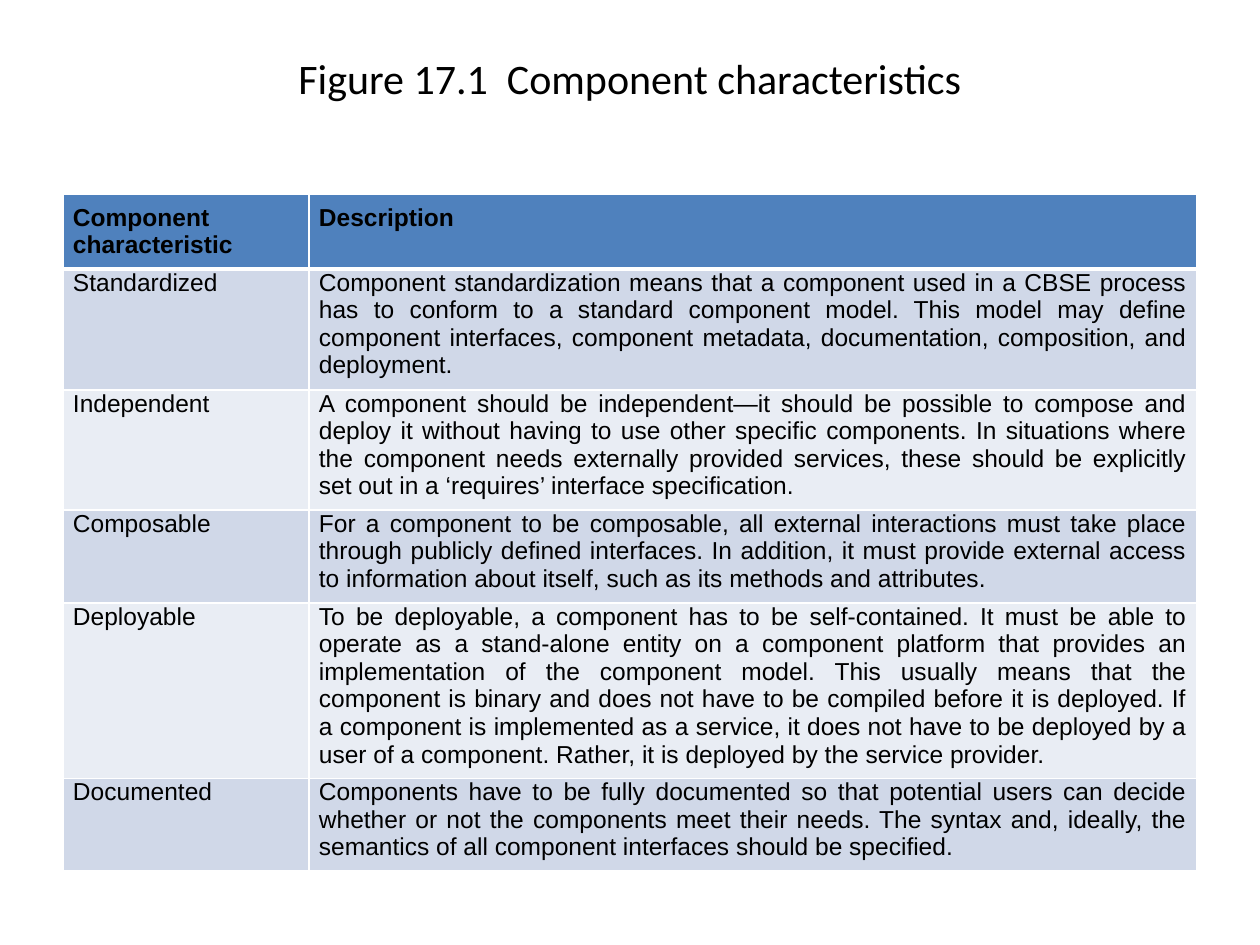
from lxml.etree import SubElement
from pptx import Presentation
from pptx.dml.color import RGBColor
from pptx.enum.text import MSO_ANCHOR, PP_ALIGN
from pptx.oxml.ns import qn
from pptx.util import Emu, Pt

PX = 7257.6  # EMU per px at 126 px to the inch
COLORS = {
    "text": "000000",
    "border": "FFFFFF",
    "header": "4F81BD",
    "odd": "D0D8E8",
    "even": "E9EDF4",
}
TITLE = "Figure 17.1  Component characteristics"
COLUMN_WIDTHS = [246, 888]
# Each row: height in px, characteristic, description
ROWS = [
    (74, "Component characteristic", "Description"),
    (121, "Standardized",
     "Component standardization means that a component used in a CBSE process has to conform "
     "to a standard component model. This model may define component interfaces, component "
     "metadata, documentation, composition, and deployment."),
    (120, "Independent",
     "A component should be independent—it should be possible to compose and deploy it without "
     "having to use other specific components. In situations where the component needs "
     "externally provided services, these should be explicitly set out in a ‘requires’ "
     "interface specification."),
    (93, "Composable",
     "For a component to be composable, all external interactions must take place through "
     "publicly defined interfaces. In addition, it must provide external access to information "
     "about itself, such as its methods and attributes."),
    (175, "Deployable",
     "To be deployable, a component has to be self-contained. It must be able to operate as a "
     "stand-alone entity on a component platform that provides an implementation of the "
     "component model. This usually means that the component is binary and does not have to be "
     "compiled before it is deployed. If a component is implemented as a service, it does not "
     "have to be deployed by a user of a component. Rather, it is deployed by the service "
     "provider."),
    (92, "Documented",
     "Components have to be fully documented so that potential users can decide whether or not "
     "the components meet their needs. The syntax and, ideally, the semantics of all component "
     "interfaces should be specified."),
]


def px(length):
    return Emu(round(length * PX))


def write_text(text_frame, text, *, font, size, align, bold=False, space_before=0):
    paragraph = text_frame.paragraphs[0]
    paragraph.alignment = align
    paragraph.space_before = Pt(space_before)
    run = paragraph.add_run()
    run.text = text
    run.font.name = font
    run.font.size = Pt(size)
    run.font.bold = bold
    run.font.color.rgb = RGBColor.from_string(COLORS["text"])


def set_borders(cell, widths):
    properties = cell._tc.get_or_add_tcPr()
    for side, width in widths.items():
        line = SubElement(properties, qn(f"a:ln{side}"), w=str(Pt(width)))
        fill = SubElement(line, qn("a:solidFill"))
        SubElement(fill, qn("a:srgbClr"), val=COLORS["border"])


def add_title(slide, left, top, width, height):
    title = slide.shapes.title
    title.left, title.top, title.width, title.height = map(px, (left, top, width, height))
    title.text_frame.vertical_anchor = MSO_ANCHOR.MIDDLE
    write_text(title.text_frame, TITLE, font="Calibri", size=24, align=PP_ALIGN.CENTER)


def add_characteristics_table(slide, left, top):
    table = slide.shapes.add_table(
        len(ROWS), len(COLUMN_WIDTHS), px(left), px(top),
        px(sum(COLUMN_WIDTHS)), px(sum(row[0] for row in ROWS))).table
    for column, width in zip(table.columns, COLUMN_WIDTHS):
        column.width = px(width)

    for row_index, (height, *texts) in enumerate(ROWS):
        table.rows[row_index].height = px(height)
        is_header = row_index == 0
        band = "header" if is_header else "odd" if row_index % 2 else "even"
        for column_index, text in enumerate(texts):
            cell = table.cell(row_index, column_index)
            cell.margin_left = cell.margin_right = cell.margin_bottom = px(10)
            cell.margin_top = px(10 if is_header else 0)
            # Heavier rule between the header and the first row
            set_borders(cell, {"L": 1, "R": 1, "T": 3 if row_index == 1 else 1,
                               "B": 3 if is_header else 1})
            cell.fill.solid()
            cell.fill.fore_color.rgb = RGBColor.from_string(COLORS[band])
            write_text(cell.text_frame, text, font="Arial", size=14, bold=is_header,
                       align=PP_ALIGN.JUSTIFY, space_before=6 if row_index == 1 else 0)


def main():
    presentation = Presentation()
    presentation.slide_width, presentation.slide_height = px(1260), px(945)
    slide = presentation.slides.add_slide(presentation.slide_layouts[5])
    add_title(slide, 63, -1, 1134, 157)
    add_characteristics_table(slide, 63, 194)
    presentation.save("out.pptx")


if __name__ == "__main__":
    main()
